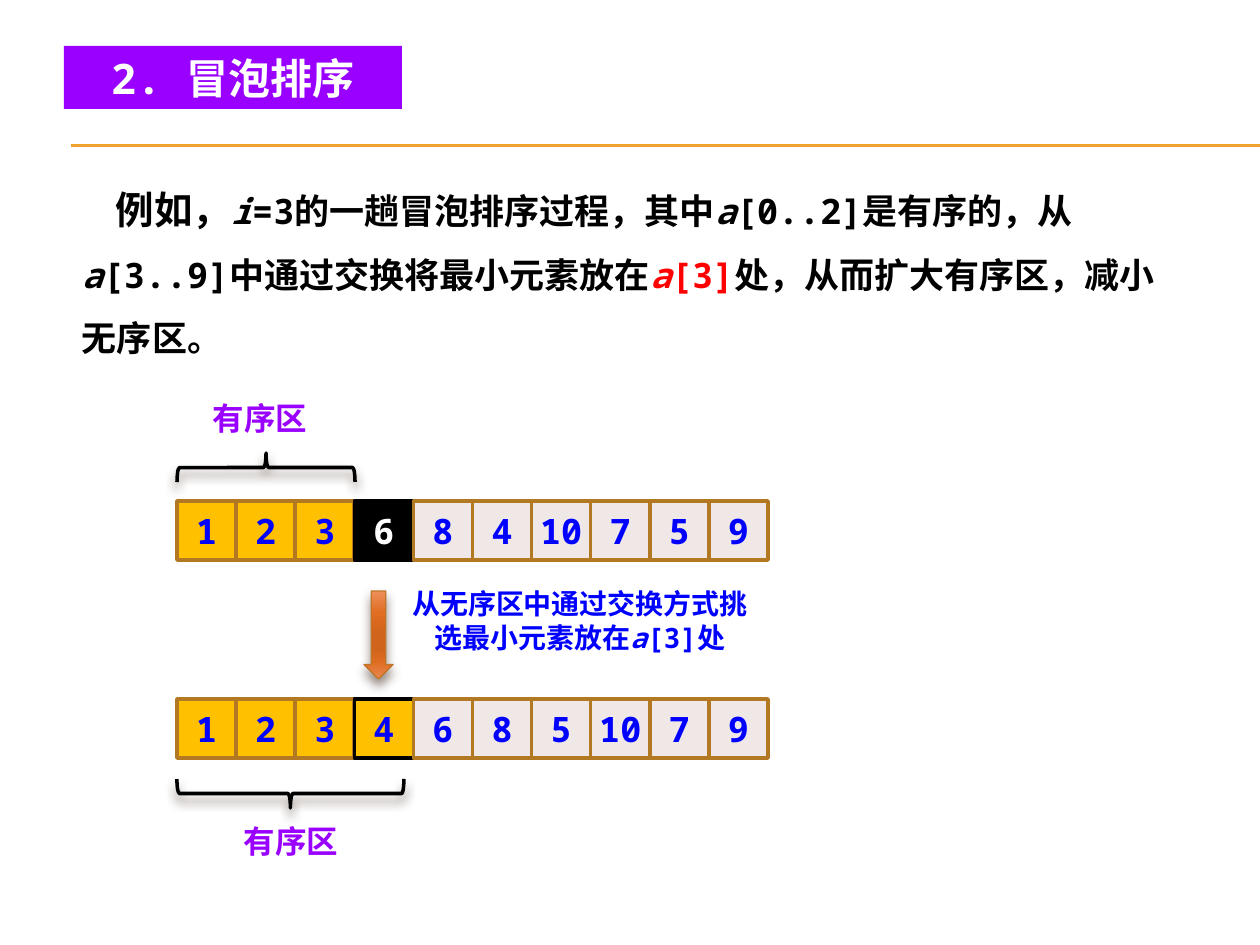
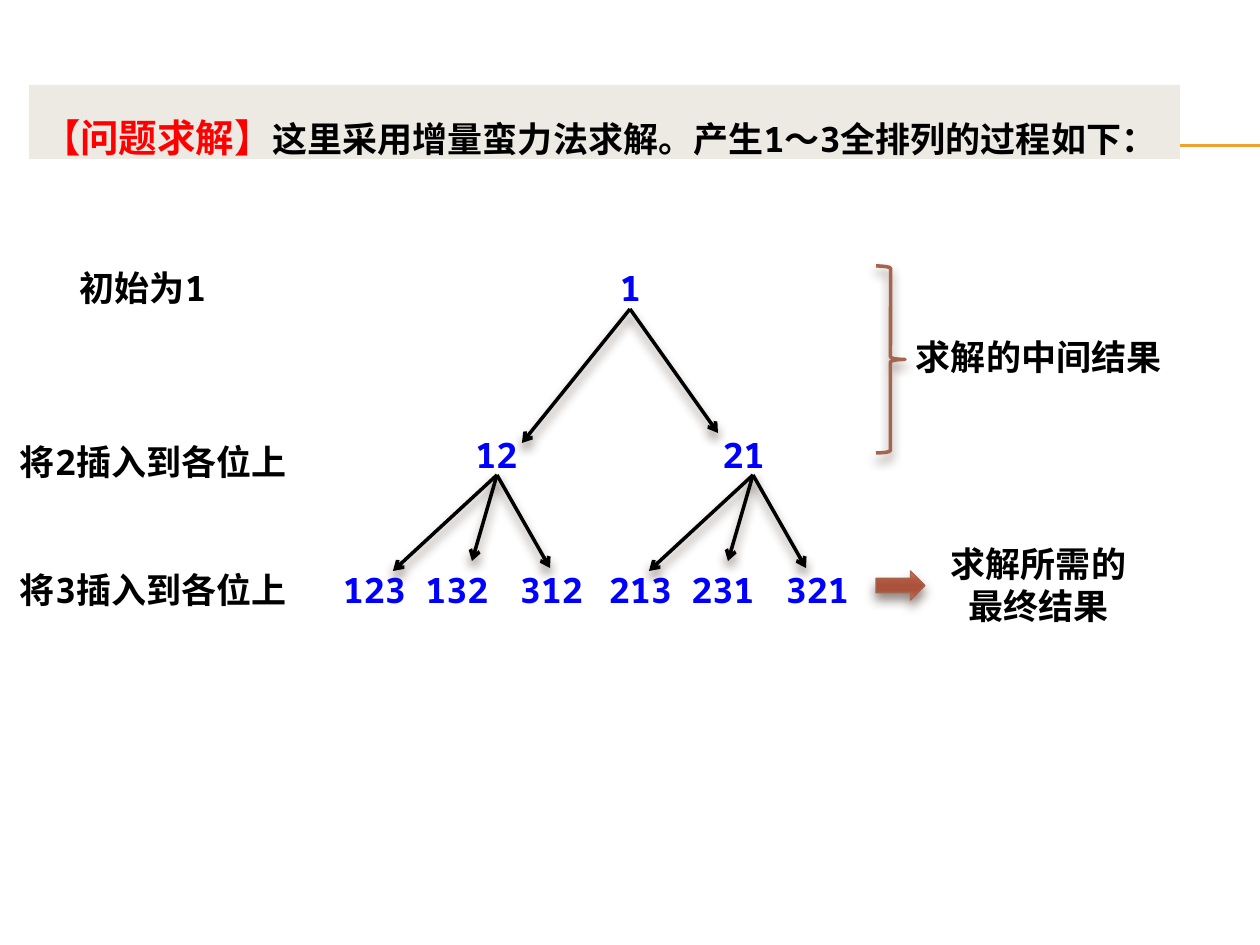
"""Build two slides on bubble sort and on generating permutations."""
from collections import namedtuple
from dataclasses import dataclass

from lxml.etree import SubElement
from pptx import Presentation
from pptx.dml.color import RGBColor
from pptx.enum.shapes import MSO_CONNECTOR, MSO_SHAPE as SHAPE
from pptx.enum.text import MSO_ANCHOR as ANCHOR, MSO_AUTO_SIZE, PP_ALIGN as ALIGN
from pptx.oxml.ns import qn
from pptx.util import Pt

EMU_PER_PX = 914400 / 126
Box = namedtuple("Box", "x y w h")
Run = namedtuple("Run", "text italic color size font", defaults=(False, None, None, None))


@dataclass(frozen=True)
class Theme:
    """Colours, fonts and type sizes used by both slides."""
    purple: str = "9900FF"
    blue: str = "0000FF"
    red: str = "FF0000"
    black: str = "000000"
    white: str = "FFFFFF"
    rule: str = "F0A22E"
    band: str = "ECEAE3"
    sorted_cell: str = "FFC000"
    unsorted_cell: str = "F0E8E6"
    cell_edge: str = "B27822"
    brick: str = "A5644E"
    orange_edge: str = "C17529"
    shadow: str = "4E3B30"
    orange_stops: tuple = ("EE8F5B", "E06D21", "D0641C", "D0641C", "DE6C20", "E88852")
    brick_stops: tuple = ("CD8473", "B75B42", "AA533C", "AA533C", "B65B42", "C77D6B")
    stop_places: tuple = (0, 25, 50, 65, 80, 100)
    mono: str = "Noto Sans Mono"
    sans: str = "Noto Sans CJK SC"
    title: int = 24
    lead: int = 22
    body: int = 20
    label: int = 18
    note: int = 16
    stroke: float = 2
    hairline: float = 0.75


THEME = Theme()


def px(length):
    """Turn pixels into EMU."""
    return round(length * EMU_PER_PX)


def rgb(color):
    """Turn a hex string into a colour."""
    return RGBColor.from_string(color)


def write(shape, paragraphs, size=THEME.body, color=THEME.black, align=ALIGN.CENTER,
          anchor=ANCHOR.TOP, inset=(0, 0), spacing=None, indent=0):
    """Fill a shape with bold paragraphs, each a string or a list of runs."""
    frame = shape.text_frame
    frame.word_wrap = True
    frame.auto_size = MSO_AUTO_SIZE.NONE
    frame.vertical_anchor = anchor
    frame.margin_left = frame.margin_right = px(inset[0])
    frame.margin_top = frame.margin_bottom = px(inset[1])
    for index, content in enumerate(paragraphs):
        paragraph = frame.add_paragraph() if index else frame.paragraphs[0]
        paragraph.alignment = align
        if spacing:
            paragraph.line_spacing = spacing
        font = paragraph.font
        font.size, font.bold, font.name = Pt(size), True, THEME.mono
        font.color.rgb = rgb(color)
        properties = paragraph._p.get_or_add_pPr()
        SubElement(properties.find(qn("a:defRPr")), qn("a:ea"), typeface=THEME.sans)
        if indent:
            properties.set("marL", "0")
            properties.set("indent", str(px(indent)))
        for part in [Run(content)] if isinstance(content, str) else content:
            run = paragraph.add_run()
            run.text = part.text
            if part.italic:
                run.font.italic = True
            if part.color:
                run.font.color.rgb = rgb(part.color)
            if part.size:
                run.font.size = Pt(part.size)
            if part.font:
                run.font.name = part.font


def add_text(slide, box, paragraphs, **style):
    """Place a text box."""
    write(slide.shapes.add_textbox(*map(px, box)), paragraphs, **style)


def add_preset(slide, kind, box, fill=None, edge=None, width=THEME.stroke):
    """Place a preset shape without shadow."""
    shape = slide.shapes.add_shape(kind, *map(px, box))
    shape.shadow.inherit = False
    if fill:
        shape.fill.solid()
        shape.fill.fore_color.rgb = rgb(fill)
    else:
        shape.fill.background()
    if edge:
        shape.line.color.rgb = rgb(edge)
        shape.line.width = Pt(width)
    else:
        shape.line.fill.background()
    return shape


def cast_shadow(effects):
    """Add the soft downward shadow to an effect list."""
    outer = SubElement(effects, qn("a:outerShdw"), blurRad=str(Pt(6)), dist=str(Pt(4)),
                       dir="5400000", algn="ctr", rotWithShape="0")
    tint = SubElement(outer, qn("a:srgbClr"), val=THEME.shadow)
    SubElement(tint, qn("a:alpha"), val="60000")


def add_line(slide, start, end, color, width, arrow=False):
    """Draw a straight line, or an arrow with a shadow."""
    line = slide.shapes.add_connector(MSO_CONNECTOR.STRAIGHT, *map(px, (*start, *end)))
    line.line.color.rgb = rgb(color)
    line.line.width = Pt(width)
    properties = line._element.spPr
    effects = SubElement(properties, qn("a:effectLst"))
    if arrow:
        SubElement(properties.find(qn("a:ln")), qn("a:tailEnd"), type="arrow")
        cast_shadow(effects)


def add_brace(slide, kind, box, color, rotation=0):
    """Draw a brace with a shadow."""
    brace = add_preset(slide, kind, box, edge=color)
    brace.rotation = rotation
    cast_shadow(brace._element.spPr.find(qn("a:effectLst")))


def add_block_arrow(slide, kind, box, stops, edge):
    """Draw a block arrow with a vertical gradient and a shadow."""
    arrow = add_preset(slide, kind, box, edge=edge, width=THEME.hairline)
    arrow.fill.gradient()
    arrow.fill.gradient_angle = 270
    properties = arrow._element.spPr
    ramp = properties.find(qn("a:gradFill")).find(qn("a:gsLst"))
    for stop in list(ramp):
        ramp.remove(stop)
    for place, color in zip(THEME.stop_places, stops):
        stop = SubElement(ramp, qn("a:gs"), pos=str(place * 1000))
        SubElement(stop, qn("a:srgbClr"), val=color)
    cast_shadow(properties.find(qn("a:effectLst")))


def add_rule(slide):
    """Draw the double rule shared by the slides."""
    for y in (145, 146):
        add_line(slide, (71, y), (1260, y), THEME.rule, THEME.hairline)


def add_title(slide, box, text):
    """Turn the title placeholder into a purple band."""
    title = slide.shapes.title
    title.left, title.top, title.width, title.height = map(px, box)
    title.fill.solid()
    title.fill.fore_color.rgb = rgb(THEME.purple)
    write(title, [text], size=THEME.title, color=THEME.white, anchor=ANCHOR.MIDDLE,
          inset=(13, 6))


def add_array(slide, box, values, sorted_count, current, current_fill, current_ink):
    """Draw an array as a row of cells, with the current cell outlined in black."""
    pitch = box.w / len(values)
    for index, value in enumerate(values):
        fill = THEME.sorted_cell if index < sorted_count else THEME.unsorted_cell
        edge, ink = THEME.cell_edge, THEME.blue
        if index == current:
            fill, edge, ink = current_fill, THEME.black, current_ink
        cell = add_preset(slide, SHAPE.RECTANGLE,
                          Box(box.x + index * pitch, box.y, pitch, box.h), fill, edge)
        write(cell, [str(value)], color=ink, anchor=ANCHOR.MIDDLE)


def add_sorted_mark(slide, box, rotation, label_box):
    """Mark the sorted zone with a brace lying in the box, and its label."""
    upright = Box(box.x + (box.w - box.h) / 2, box.y + (box.h - box.w) / 2, box.h, box.w)
    add_brace(slide, SHAPE.LEFT_BRACE, upright, THEME.black, rotation)
    add_text(slide, label_box, ["有序区"], size=THEME.label, color=THEME.purple,
             inset=(13, 6))


def add_sort_pass(slide, box):
    """Draw the array before and after one pass, with the step between."""
    x, y, w, _ = box
    cell = w / 10
    add_sorted_mark(slide, Box(x, y + 60, 178, 29), 90, Box(x + 9, y, 148, 50))
    add_array(slide, Box(x, y + 108, w, cell), (1, 2, 3, 6, 8, 4, 10, 7, 5, 9),
              3, 3, THEME.black, THEME.white)
    add_block_arrow(slide, SHAPE.DOWN_ARROW, Box(x + 187, y + 198, 29, 88),
                    THEME.orange_stops, THEME.orange_edge)
    step = [Run("从无序区中通过交换方式挑选最小元素放在"), Run("a", True), Run("[3]处")]
    add_text(slide, Box(x + 216, y + 188, 374, 81), [step], size=THEME.note,
             color=THEME.blue, inset=(13, 6))
    add_array(slide, Box(x, y + 306, w, cell), (1, 2, 3, 4, 6, 8, 5, 10, 7, 9),
              4, 3, THEME.sorted_cell, THEME.blue)
    add_sorted_mark(slide, Box(x, y + 386, 227, 29), 270, Box(x + 40, y + 423, 148, 50))


def add_branch(slide, parent, children, parent_x, fan_x, leaves_x, top):
    """Draw a permutation, its three extensions and the arrows to them."""
    add_text(slide, Box(parent_x, top, 69, 43), [parent], color=THEME.blue)
    for child, offset, width in zip(children, (0, 78, 177), (79, 88, 79)):
        add_text(slide, Box(leaves_x + offset, top + 135, width, 43), [child],
                 color=THEME.blue)
    for dx, dy in ((-104, 96), (-25, 86), (53, 93)):
        add_line(slide, (fan_x, top + 42), (fan_x + dx, top + 42 + dy),
                 THEME.black, THEME.stroke, arrow=True)


def add_permutation_tree(slide, box):
    """Draw the tree of permutations of 1 to 3."""
    x, y = box.x, box.y
    add_text(slide, Box(x + 266, y, 59, 43), ["1"], color=THEME.blue)
    for tip in ((x + 187, y + 177), (x + 383, y + 167)):
        add_line(slide, (x + 295, y + 43), tip, THEME.black, THEME.stroke, arrow=True)
    add_branch(slide, "12", ("123", "132", "312"), x + 127, x + 162, x, y + 167)
    add_branch(slide, "21", ("213", "231", "321"), x + 374, x + 418, x + 266, y + 167)


def add_steps(slide, box):
    """Name the steps to the left of the tree."""
    add_text(slide, Box(box.x + 39, box.y, 168, 43), ["初始为1"])
    for digit, y in ((2, 174), (3, 302)):
        add_text(slide, Box(box.x, box.y + y, box.w, 43), [f"将{digit}插入到各位上"],
                 align=ALIGN.LEFT)


def add_results(slide, box):
    """Name the results to the right of the tree."""
    x, y = box.x, box.y
    add_brace(slide, SHAPE.RIGHT_BRACE, Box(x, y, 29, 187), THEME.brick)
    add_text(slide, Box(x + 40, y + 69, 276, 43), ["求解的中间结果"], align=ALIGN.LEFT)
    add_block_arrow(slide, SHAPE.RIGHT_ARROW, Box(x, y + 305, 49, 29),
                    THEME.brick_stops, THEME.brick)
    add_text(slide, Box(x + 59, y + 276, 207, 84), ["求解所需的", "最终结果"])


def build_bubble_sort(slide):
    """Lay out the bubble sort slide."""
    add_rule(slide)
    add_title(slide, Box(64, 46, 338, 63), "2. 冒泡排序")
    example = [
        Run("例如，", size=THEME.lead), Run("i", True),
        Run("=3的一趟冒泡排序过程，其中"), Run("a", True),
        Run("[0..2]是有序的，从"), Run("a", True),
        Run("[3..9]中通过交换将最小元素放在"), Run("a", True, THEME.red),
        Run("[3]", True, THEME.red), Run("处，从而扩大有序区，减小无序区。"),
    ]
    example[8] = Run("[3]", color=THEME.red)
    add_text(slide, Box(69, 157, 1132, 210), [example], align=ALIGN.LEFT,
             inset=(13, 6), spacing=1.5, indent=34)
    add_sort_pass(slide, Box(177, 393, 591, 473))


def build_permutations(slide):
    """Lay out the permutation slide."""
    add_rule(slide)
    band = add_preset(slide, SHAPE.RECTANGLE, Box(29, 85, 1151, 74), THEME.band)
    intro = [Run("【问题求解】", color=THEME.red, size=THEME.lead, font=THEME.sans),
             Run("这里采用增量蛮力法求解。产生1～3全排列的过程如下：")]
    write(band, [intro], align=ALIGN.LEFT, inset=(13, 6), spacing=1.5)
    add_steps(slide, Box(20, 266, 305, 345))
    add_permutation_tree(slide, Box(335, 266, 522, 345))
    add_results(slide, Box(876, 266, 316, 360))


def main():
    """Build and save the deck."""
    deck = Presentation()
    deck.slide_width, deck.slide_height = px(1260), px(945)
    title_only, blank = deck.slide_layouts[5], deck.slide_layouts[6]
    build_bubble_sort(deck.slides.add_slide(title_only))
    build_permutations(deck.slides.add_slide(blank))
    deck.save("out.pptx")


main()
